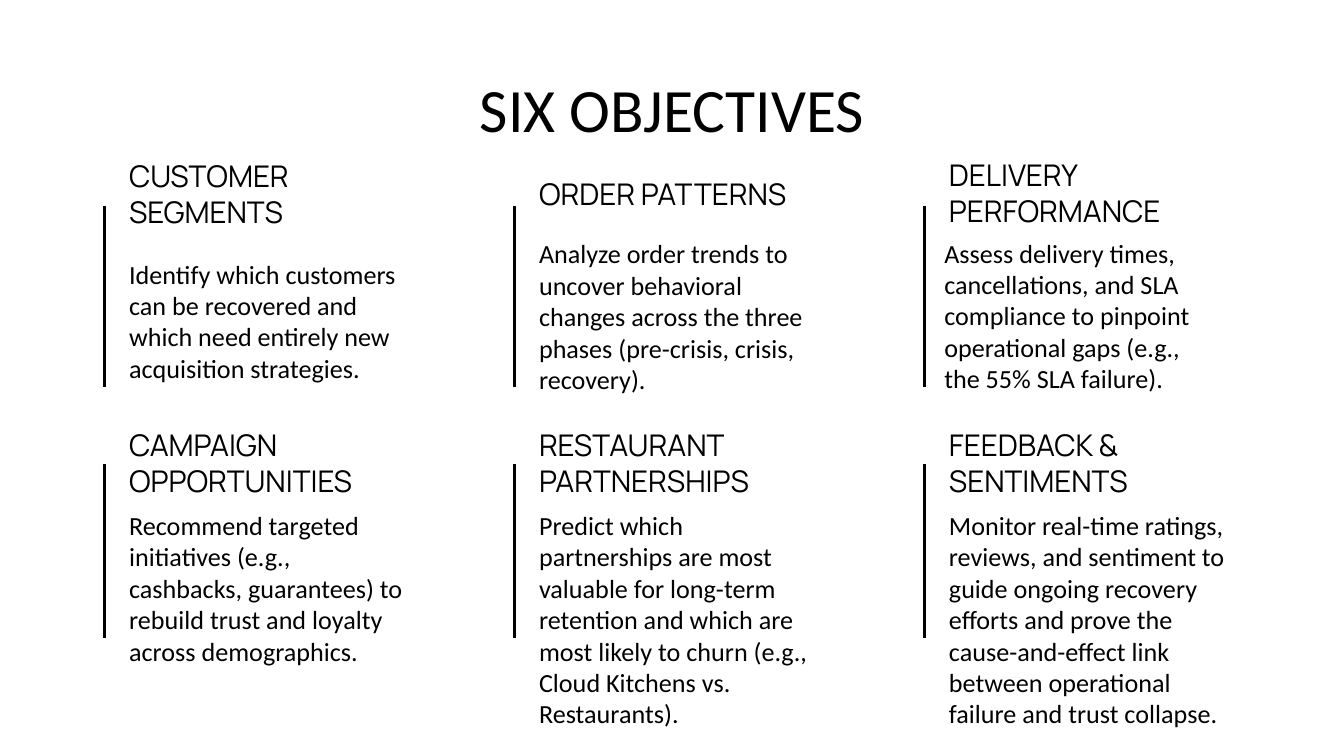
from pptx import Presentation
from pptx.dml.color import RGBColor
from pptx.enum import shapes, text
from pptx.oxml.ns import qn
from pptx.util import Pt
from lxml import etree

# Content: heading, heading top, body, body top, body left shift
TITLE = "SIX OBJECTIVES"
OBJECTIVES = [
    [
        ("CUSTOMER SEGMENTS", 91.4,
         "Identify which customers can be recovered and which need entirely new "
         "acquisition strategies.", 131, 0),
        ("ORDER PATTERNS", 81.4,
         "Analyze order trends to uncover behavioral changes across the three phases "
         "(pre-crisis, crisis, recovery).", 120.2, 0),
        ("DELIVERY PERFORMANCE", 90.7,
         "Assess delivery times, cancellations, and SLA compliance to pinpoint "
         "operational gaps (e.g., the 55% SLA failure).", 119.7, -2.5),
    ],
    [
        ("CAMPAIGN OPPORTUNITIES", 235.4,
         "Recommend targeted initiatives (e.g., cashbacks, guarantees) to rebuild trust "
         "and loyalty across demographics.", 265.7, 0),
        ("RESTAURANT PARTNERSHIPS", 235.4,
         "Predict which partnerships are most valuable for long-term retention and which "
         "are most likely to churn (e.g., Cloud Kitchens vs. Restaurants).", 265.7, 0),
        ("FEEDBACK & SENTIMENTS", 235.4,
         "Monitor real-time ratings, reviews, and sentiment to guide ongoing recovery "
         "efforts and prove the cause-and-effect link between operational failure and "
         "trust collapse.", 265.7, 0),
    ],
]

THEME = {
    "ink": RGBColor(0, 0, 0),
    "title": ("Calibri", 33),
    "heading": ("Manrope", 16),
    "body": ("Calibri", 14),
    "rule": 1.5,
}

# Grid, in points
RULE_LEFT, COLUMN_STEP = 56.2, 219.6
RULE_SPANS = [(110.2, 207.4), (248.4, 342)]
TEXT_GAP, TEXT_WIDTH = 5.9, 162.7
HEADING_HEIGHT, BODY_HEIGHT = 38.9, 87.1
INSET = 7.2


def add_text(slide, wording, role, left, top, width, height,
             anchor=text.MSO_ANCHOR.TOP, align=text.PP_ALIGN.LEFT):
    box = slide.shapes.add_textbox(Pt(left), Pt(top), Pt(width), Pt(height))
    frame = box.text_frame
    frame.word_wrap = True
    frame.vertical_anchor = anchor
    frame.margin_left = frame.margin_right = Pt(INSET)
    frame.margin_top = frame.margin_bottom = Pt(INSET)
    paragraph = frame.paragraphs[0]
    paragraph.text = wording
    paragraph.alignment = align
    font_name, size = THEME[role]
    paragraph.font.name = font_name
    paragraph.font.size = Pt(size)
    paragraph.font.color.rgb = THEME["ink"]
    return paragraph


def add_rule(slide, x, top, bottom):
    rule = slide.shapes.add_connector(
        shapes.MSO_CONNECTOR.STRAIGHT, Pt(x), Pt(top), Pt(x), Pt(bottom))
    rule.line.color.rgb = THEME["ink"]
    rule.line.width = Pt(THEME["rule"])
    etree.SubElement(rule._element.spPr, qn("a:effectLst"))


def main():
    deck = Presentation()
    deck.slide_width, deck.slide_height = Pt(720), Pt(405)
    slide = deck.slides.add_slide(deck.slide_layouts[6])

    # Title
    title = add_text(slide, TITLE, "title", 56.7, 35.3, 606.6, 45.4,
                     align=text.PP_ALIGN.CENTER)
    title.line_spacing = 0.9

    # Objectives: a rule, a heading and a body in each cell
    for objectives, (rule_top, rule_bottom) in zip(OBJECTIVES, RULE_SPANS):
        for column, objective in enumerate(objectives):
            heading, heading_top, body, body_top, shift = objective
            rule_x = RULE_LEFT + column * COLUMN_STEP
            left = rule_x + TEXT_GAP
            add_rule(slide, rule_x, rule_top, rule_bottom)
            add_text(slide, heading, "heading", left, heading_top,
                     TEXT_WIDTH, HEADING_HEIGHT, text.MSO_ANCHOR.BOTTOM)
            add_text(slide, body, "body", left + shift, body_top,
                     TEXT_WIDTH, BODY_HEIGHT)

    deck.save("out.pptx")


if __name__ == "__main__":
    main()
